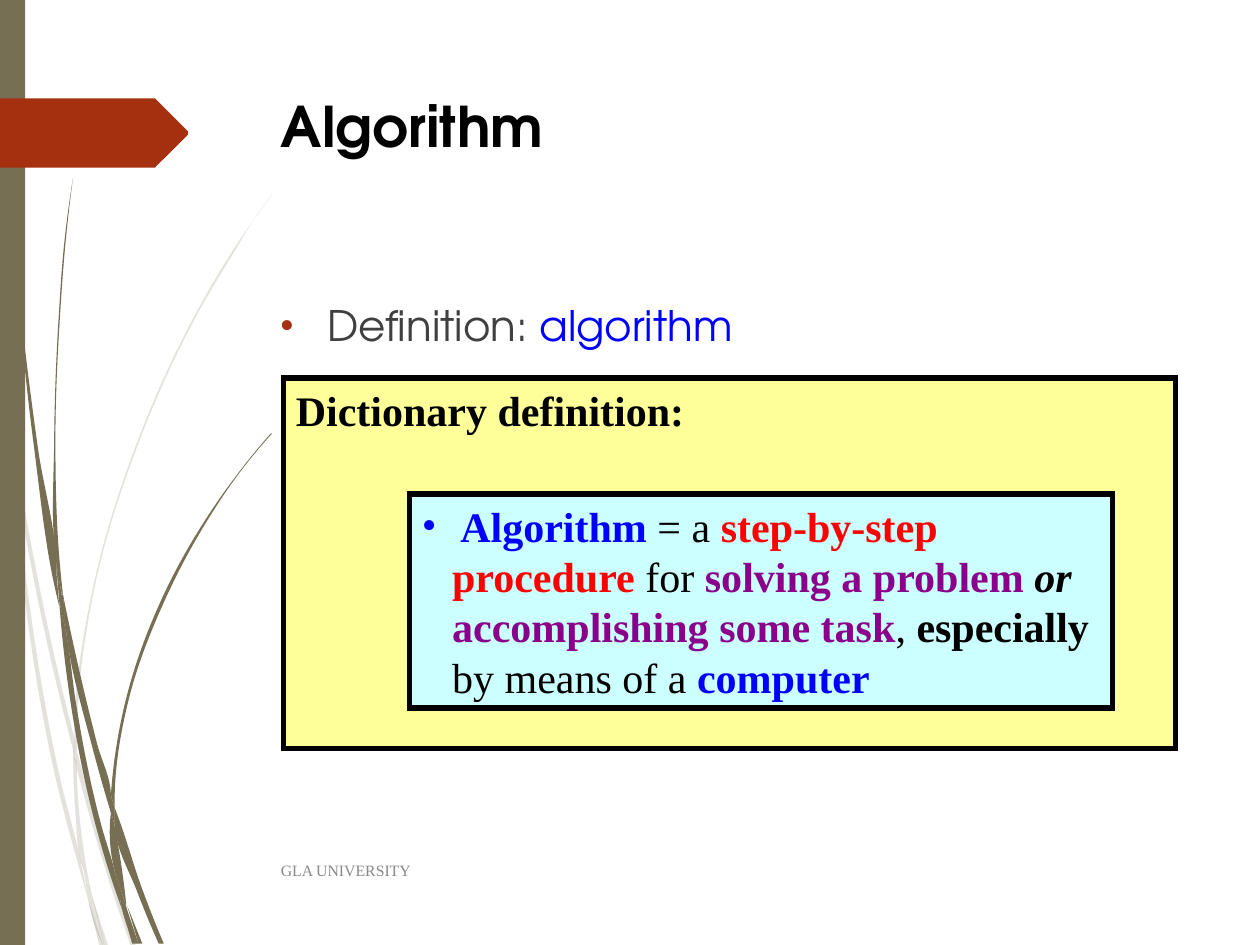
"""Build the slide that defines an algorithm."""
from dataclasses import dataclass
from math import dist

from lxml import etree
from pptx import Presentation
from pptx.dml.color import RGBColor
from pptx.enum.shapes import MSO_SHAPE
from pptx.enum.text import MSO_ANCHOR, PP_ALIGN
from pptx.oxml.ns import qn
from pptx.util import Pt

EMU_PER_PX = 9144
RECTANGLE = MSO_SHAPE.RECTANGLE
TOP, MIDDLE = MSO_ANCHOR.TOP, MSO_ANCHOR.MIDDLE
LEFT = PP_ALIGN.LEFT


@dataclass(frozen=True)
class Theme:
    """Colours, fonts and type sizes."""
    olive: str = "766F54"
    rust: str = "A53010"
    black: str = "000000"
    charcoal: str = "404040"
    grey: str = "898989"
    blue: str = "0000FF"
    red: str = "FF0000"
    purple: str = "8B008B"
    yellow: str = "FFFF99"
    cyan: str = "CCFFFF"
    sans: str = "TeX Gyre Adventor"
    serif: str = "Times New Roman"
    title_size: int = 32
    body_size: int = 24
    footer_size: int = 9
    border: int = 3
    pale_opacity: int = 20


THEME = Theme()

PALE_WISPS = [
    [[(8, 350), (6, 322), (0, 282)], [(0, 299), (7, 344), (8, 350)]],
    [[(12, 376), (40, 522), (59, 599)], [(59, 586), (43, 520), (10, 345)]],
    [[(61, 610), (85, 694), (104, 751)], [(108, 751), (88, 692), (64, 607), (61, 596)]],
    [[(86, 751), (73, 711)], [(83, 751)]],
    [[(70, 714), (64, 683), (48, 619), (22, 469), (12, 376), (8, 350)],
     [(8, 350), (19, 470), (45, 621), (64, 693), (70, 714)]],
    [[(58, 599), (60, 646), (64, 683), (67, 692), (73, 711)],
     [(72, 706), (63, 646), (61, 610), (61, 608), (58, 599)]],
    [[(61, 596), (61, 584), (76, 462), (111, 349), (159, 245), (187, 198), (201, 175), (217, 153)],
     [(217, 153), (201, 175), (186, 197), (158, 244), (110, 348), (75, 461), (59, 584), (59, 586)]],
    [[(70, 714), (79, 751)], [(82, 751)]],
    [[(61, 608), (61, 610)], [(61, 596), (59, 586)], [(58, 599)]],
    [[(65, 683), (69, 707), (70, 714), (82, 751)], [(83, 751), (73, 711), (67, 692), (65, 683)]],
]

DARK_WISPS = [
    [[(2, 0), (3, 48), (5, 110), (14, 233), (27, 355), (46, 477), (47, 481)],
     [(45, 457), (45, 453), (30, 355), (15, 232), (6, 109), (4, 48), (3, 0)]],
    [[(50, 472), (53, 505), (73, 592), (88, 645)], [(88, 633), (88, 631), (77, 590), (50, 472)]],
    [[(91, 641), (91, 656), (109, 708), (126, 749)], [(130, 749), (113, 706), (94, 649), (91, 641)]],
    [[(47, 477), (56, 557), (77, 659), (92, 708), (97, 722)],
     [(96, 717), (91, 691), (81, 657), (60, 556), (53, 505), (47, 477)]],
    [[(50, 472), (48, 453), (44, 349), (48, 245), (52, 193), (58, 141)],
     [(58, 141), (51, 193), (47, 245), (43, 349), (45, 449), (49, 471)]],
    [[(110, 749), (113, 749)], [(101, 719)]],
    [[(47, 477), (53, 505)], [(50, 472), (49, 472)], [(45, 449), (45, 453)]],
    [[(91, 641), (91, 633), (103, 552), (131, 476), (169, 406), (191, 374), (203, 359), (216, 344)],
     [(215, 344), (203, 358), (191, 373), (168, 405), (129, 474), (101, 551), (88, 631)]],
    [[(97, 722), (105, 749)], [(108, 749)]],
    [[(88, 645), (91, 691), (96, 706), (100, 719)], [(100, 716), (91, 656), (90, 651), (88, 645)]],
    [[(88, 645), (90, 651), (91, 656)], [(91, 641), (88, 631)]],
    [[(91, 691), (96, 717), (97, 722), (108, 749)], [(110, 749), (100, 719), (96, 706), (91, 691)]],
]

ARROW = [[(0, 78), (121, 78)], [(123, 78), (124, 79)], [(149, 104), (149, 107)],
         [(124, 132), (123, 133)], [(121, 133), (0, 133)]]


def px(length):
    """Turn a length in px into EMU."""
    return round(length * EMU_PER_PX)


def color(value):
    """Return the colour for a hex value."""
    return RGBColor.from_string(value)


def curve_handles(edge):
    """Return the two Bezier handles of each span, or None for a straight edge."""
    if len(edge) < 3:
        return [None] * (len(edge) - 1)
    spans = [dist(a, b) for a, b in zip(edge, edge[1:])]
    slopes = [tuple((q - p) / span for p, q in zip(a, b))
              for a, b, span in zip(edge, edge[1:], spans)]
    inner = [tuple((p * after + q * before) / (before + after) for p, q in zip(a, b))
             for a, b, before, after in zip(slopes, slopes[1:], spans, spans[1:])]
    first = tuple(2 * s - t for s, t in zip(slopes[0], inner[0]))
    last = tuple(2 * s - t for s, t in zip(slopes[-1], inner[-1]))
    tangents = [first, *inner, last]
    return [(tuple(p + t * span / 3 for p, t in zip(a, start)),
             tuple(p - t * span / 3 for p, t in zip(b, end)))
            for a, b, start, end, span in zip(edge, edge[1:], tangents, tangents[1:], spans)]


def bend(shape, handles):
    """Turn the line segments that have handles into cubic curves."""
    for line, pair in zip(list(shape._element.iter(qn("a:lnTo"))), handles):
        if pair:
            line.tag = qn("a:cubicBezTo")
            for index, (x, y) in enumerate(pair):
                point = etree.Element(qn("a:pt"), x=str(px(x) - shape.left), y=str(px(y) - shape.top))
                line.insert(index, point)


def paint(shape, fill, border=None):
    """Give a shape a flat fill and an optional mitred border."""
    shape.shadow.inherit = False
    shape.fill.solid()
    shape.fill.fore_color.rgb = color(fill)
    if border:
        shape.line.color.rgb = color(border)
        shape.line.width = Pt(THEME.border)
        etree.SubElement(shape._element.spPr.find(qn("a:ln")), qn("a:miter"), lim="800000")
    else:
        shape.line.fill.background()


def add_outline(slide, edges, fill, opacity=100):
    """Add a closed freeform made of smooth edges."""
    points, handles = [edges[0][0]], []
    for edge in edges:
        if edge[0] != points[-1]:
            points.append(edge[0])
            handles.append(None)
        points.extend(edge[1:])
        handles.extend(curve_handles(edge))
    corners = [(px(x), px(y)) for x, y in points]
    builder = slide.shapes.build_freeform(*corners[0])
    builder.add_line_segments(corners[1:], close=True)
    shape = builder.convert_to_shape()
    bend(shape, handles)
    paint(shape, fill)
    if opacity < 100:
        fill_color = shape._element.spPr.find(qn("a:solidFill"))[0]
        etree.SubElement(fill_color, qn("a:alpha"), val=str(opacity * 1000))


def add_box(slide, frame, fill, border=None):
    """Add a filled rectangle."""
    shape = slide.shapes.add_shape(RECTANGLE, *map(px, frame))
    paint(shape, fill, border)
    return shape


def add_bullet(paragraph, bullet_color, indent):
    """Give a paragraph a coloured bullet with a hanging indent."""
    properties = paragraph._p.get_or_add_pPr()
    properties.set("marL", str(px(indent)))
    properties.set("indent", str(-px(indent)))
    holder = etree.SubElement(properties, qn("a:buClr"))
    etree.SubElement(holder, qn("a:srgbClr"), val=bullet_color)
    etree.SubElement(properties, qn("a:buFont"), typeface=THEME.serif)
    etree.SubElement(properties, qn("a:buChar"), char="•")


def write(shape, runs, font_name, size, anchor=TOP, bullet=None):
    """Write one paragraph of (text, colour, style) runs into a shape."""
    frame = shape.text_frame
    frame.word_wrap = True
    frame.vertical_anchor = anchor
    paragraph = frame.paragraphs[0]
    paragraph.alignment = LEFT
    if bullet:
        add_bullet(paragraph, *bullet)
    for text, text_color, style in runs:
        run = paragraph.add_run()
        run.text = text
        run.font.name = font_name
        run.font.size = Pt(size)
        run.font.color.rgb = color(text_color)
        run.font.bold = "b" in style
        run.font.italic = "i" in style


def add_text(slide, frame, *content, **options):
    """Add a text box with one paragraph."""
    write(slide.shapes.add_textbox(*map(px, frame)), *content, **options)


def add_decoration(slide):
    """Add the wisps, the side bar and the arrow."""
    for wisp in PALE_WISPS:
        add_outline(slide, wisp, THEME.olive, THEME.pale_opacity)
    for wisp in DARK_WISPS:
        add_outline(slide, wisp, THEME.olive)
    add_box(slide, (0, 0, 20, 750), THEME.olive)
    add_outline(slide, ARROW, THEME.rust)


def main():
    """Build and save the slide."""
    presentation = Presentation()
    presentation.slide_width, presentation.slide_height = px(1000), px(750)
    slide = presentation.slides.add_slide(presentation.slide_layouts[6])
    add_decoration(slide)
    add_text(slide, (213, 68, 721, 140), [("Algorithm", THEME.black, "b")],
             THEME.sans, THEME.title_size)
    add_text(slide, (212, 233, 721, 413),
             [("Definition: ", THEME.charcoal, ""), ("algorithm", THEME.blue, "")],
             THEME.sans, THEME.body_size, bullet=(THEME.rust, 38))
    write(add_box(slide, (225, 300, 708, 294), THEME.yellow, THEME.black),
          [("Dictionary definition:", THEME.black, "b")], THEME.serif, THEME.body_size)
    definition = [
        (" Algorithm", THEME.blue, "b"), (" = a ", THEME.black, ""),
        ("step-by-step procedure", THEME.red, "b"), (" for ", THEME.black, ""),
        ("solving a problem ", THEME.purple, "b"), ("or ", THEME.black, "bi"),
        ("accomplishing some task", THEME.purple, "b"), (", ", THEME.black, ""),
        ("especially", THEME.black, "b"), (" by means of a ", THEME.black, ""),
        ("computer", THEME.blue, "b")]
    write(add_box(slide, (325, 392, 558, 170), THEME.cyan, THEME.black), definition,
          THEME.serif, THEME.body_size, bullet=(THEME.blue, 24))
    add_text(slide, (213, 671, 625, 40), [("GLA UNIVERSITY", THEME.grey, "")],
             THEME.serif, THEME.footer_size, anchor=MIDDLE)
    presentation.save("out.pptx")


if __name__ == "__main__":
    main()
